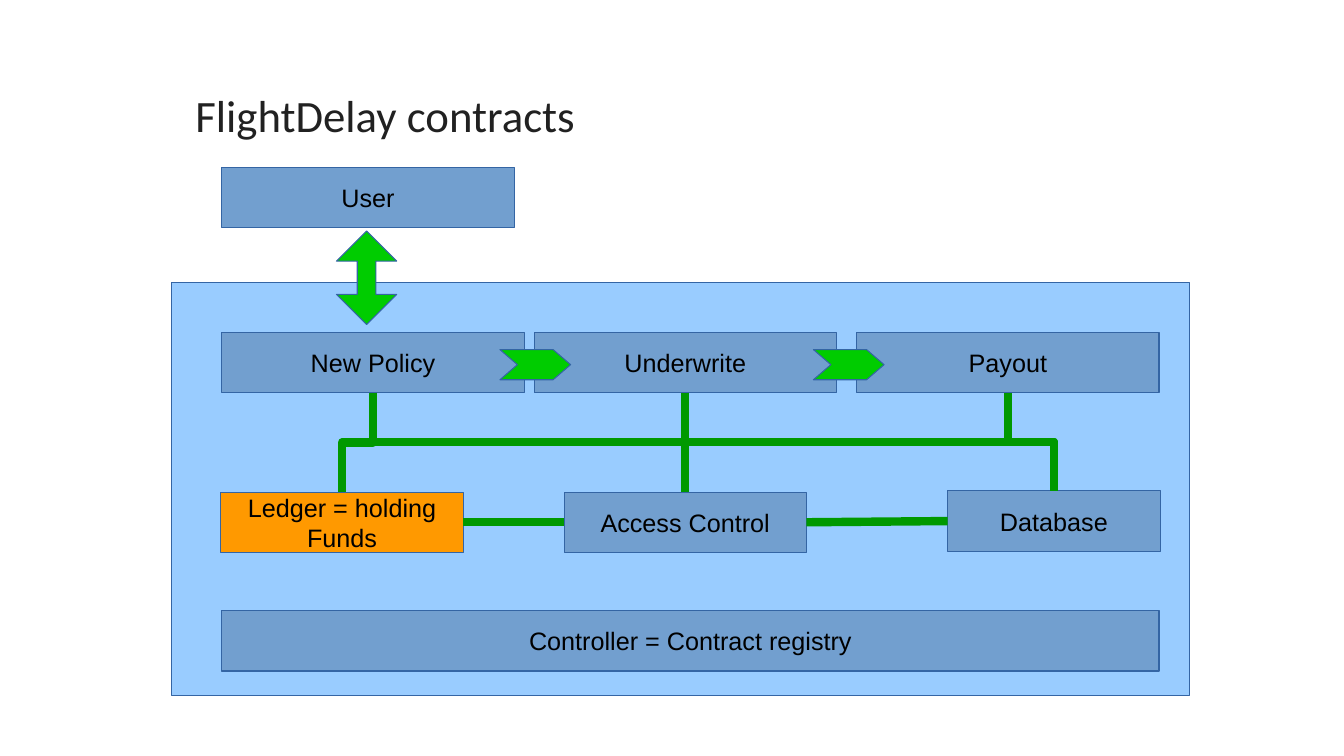
import pptx
import pptx.dml.color
import pptx.enum.shapes
import pptx.enum.text
import pptx.oxml.ns
import pptx.util
from lxml import etree

Cm, Pt = pptx.util.Cm, pptx.util.Pt
SHAPE = pptx.enum.shapes.MSO_SHAPE
LINK = pptx.enum.shapes.MSO_CONNECTOR
ALIGN = pptx.enum.text.PP_ALIGN
ANCHOR = pptx.enum.text.MSO_ANCHOR
BLUE, GREEN = "729FCF", "00CC00"
BOX_HEIGHT = 1.52


def rgb(value):
    return pptx.dml.color.RGBColor.from_string(value)


def add_block(kind, left, top, width, height, fill, label=""):
    """Add a filled, hairline-edged shape with an optional centred label."""
    block = slide.shapes.add_shape(kind, Cm(left), Cm(top), Cm(width), Cm(height))
    block.shadow.inherit = False
    block.fill.solid()
    block.fill.fore_color.rgb = rgb(fill)
    block.line.color.rgb = rgb("3465A4")
    block.line.width = Pt(0)
    if label:
        block.text_frame.word_wrap = True
        block.text_frame.vertical_anchor = ANCHOR.MIDDLE
        para = block.text_frame.paragraphs[0]
        para.text = label
        para.alignment = ALIGN.CENTER
        for name, value in {"name": "Arial", "size": Pt(18)}.items():
            setattr(para.font, name, value)
        para.font.color.rgb = rgb("000000")
    return block


deck = pptx.Presentation()
deck.slide_width, deck.slide_height = Cm(33.87), Cm(19.05)
slide = deck.slides.add_slide(deck.slide_layouts[5])

title = slide.shapes.title
placement = {"left": Cm(4.67), "top": Cm(2.08), "width": Cm(25.15), "height": Cm(13.49)}
for name, value in placement.items():
    setattr(title, name, value)
title.text_frame.word_wrap = True
title.text_frame.auto_size = pptx.enum.text.MSO_AUTO_SIZE.NONE
title.text_frame.vertical_anchor = ANCHOR.TOP
heading = title.text_frame.paragraphs[0]
heading.text = "FlightDelay contracts"
heading.alignment = ALIGN.LEFT
heading.space_after = Pt(12.9)
for name, value in {"name": "Calibri", "size": Pt(32)}.items():
    setattr(heading.font, name, value)
heading.font.color.rgb = rgb("212121")

# Contract area and boxes
add_block(SHAPE.RECTANGLE, 4.32, 7.11, 25.65, 10.41, "99CCFF")
boxes = {}
for label, left, top, width, fill in [
    ("User", 5.59, 4.22, 7.37, BLUE),
    ("New Policy", 5.59, 8.38, 7.62, BLUE),
    ("Underwrite", 13.46, 8.38, 7.62, BLUE),
    ("Payout", 21.59, 8.38, 7.62, BLUE),
    ("Ledger = holding Funds", 5.56, 12.4, 6.12, "FF9900"),
    ("Access Control", 14.22, 12.4, 6.1, BLUE),
    ("Database", 23.88, 12.37, 5.36, BLUE),
    ("Controller = Contract registry", 5.59, 15.39, 23.62, BLUE),
]:
    boxes[label] = add_block(SHAPE.RECTANGLE, left, top, width, BOX_HEIGHT, fill, label)

# Block arrows
user_arrow = add_block(SHAPE.UP_DOWN_ARROW, 8.48, 5.82, 1.52, 2.36, GREEN)
user_arrow.adjustments[1] = 0.31
for left in (12.6, 20.5):
    step_arrow = add_block(SHAPE.CHEVRON, left, 8.81, 1.78, 0.76, GREEN)
    step_arrow.adjustments[0] = 0.58

# Elbows leave an upper box downwards, so each is a sideways elbow turned a quarter
connectors = []
for upper, lower in [
    ("New Policy", "Database"),
    ("Underwrite", "Database"),
    ("Payout", "Database"),
    ("New Policy", "Ledger = holding Funds"),
]:
    source, target = boxes[upper], boxes[lower]
    start_x = source.left + source.width // 2
    start_y = source.top + source.height
    end_x = target.left + target.width // 2
    middle_x, middle_y = (start_x + end_x) // 2, (start_y + target.top) // 2
    half_run, half_drop = abs(end_x - start_x) // 2, (target.top - start_y) // 2
    side = 1 if end_x > start_x else -1
    elbow = slide.shapes.add_connector(
        LINK.ELBOW,
        middle_x + side * half_drop, middle_y - half_run,
        middle_x - side * half_drop, middle_y + half_run,
    )
    quarter_turns = 3 if side == 1 else 1
    frame = elbow._element.spPr.find(pptx.oxml.ns.qn("a:xfrm"))
    frame.set("rot", str(quarter_turns * 90 * 60000))
    connectors.append(elbow)

for first, first_side, second, second_side in [
    ("Access Control", 3, "Database", 1),
    ("Underwrite", 2, "Access Control", 0),
    ("Ledger = holding Funds", 3, "Access Control", 1),
]:
    straight = slide.shapes.add_connector(LINK.STRAIGHT, 0, 0, 0, 0)
    straight.begin_connect(boxes[first], first_side)
    straight.end_connect(boxes[second], second_side)
    connectors.append(straight)

for connector in connectors:
    connector.line.color.rgb = rgb("009900")
    connector.line.width = Pt(6)
    etree.SubElement(connector._element.spPr, pptx.oxml.ns.qn("a:effectLst"))

deck.save("out.pptx")
